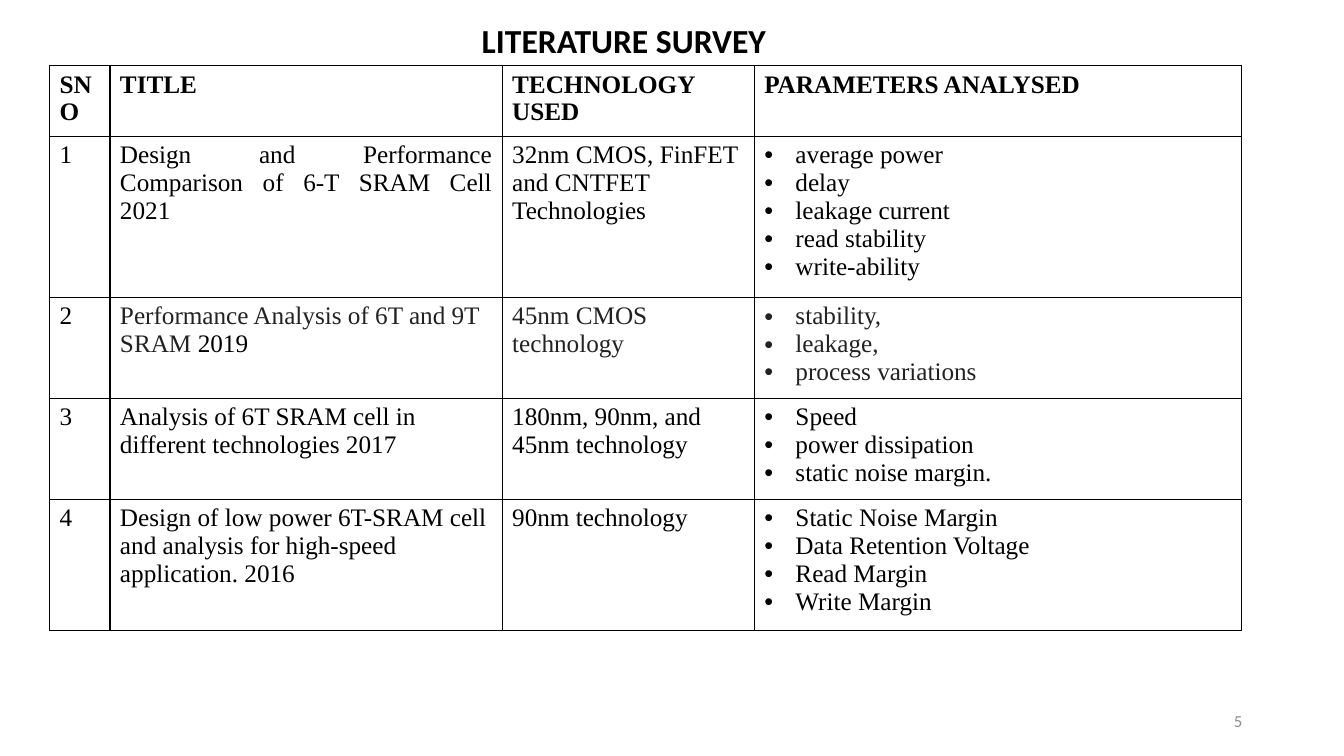
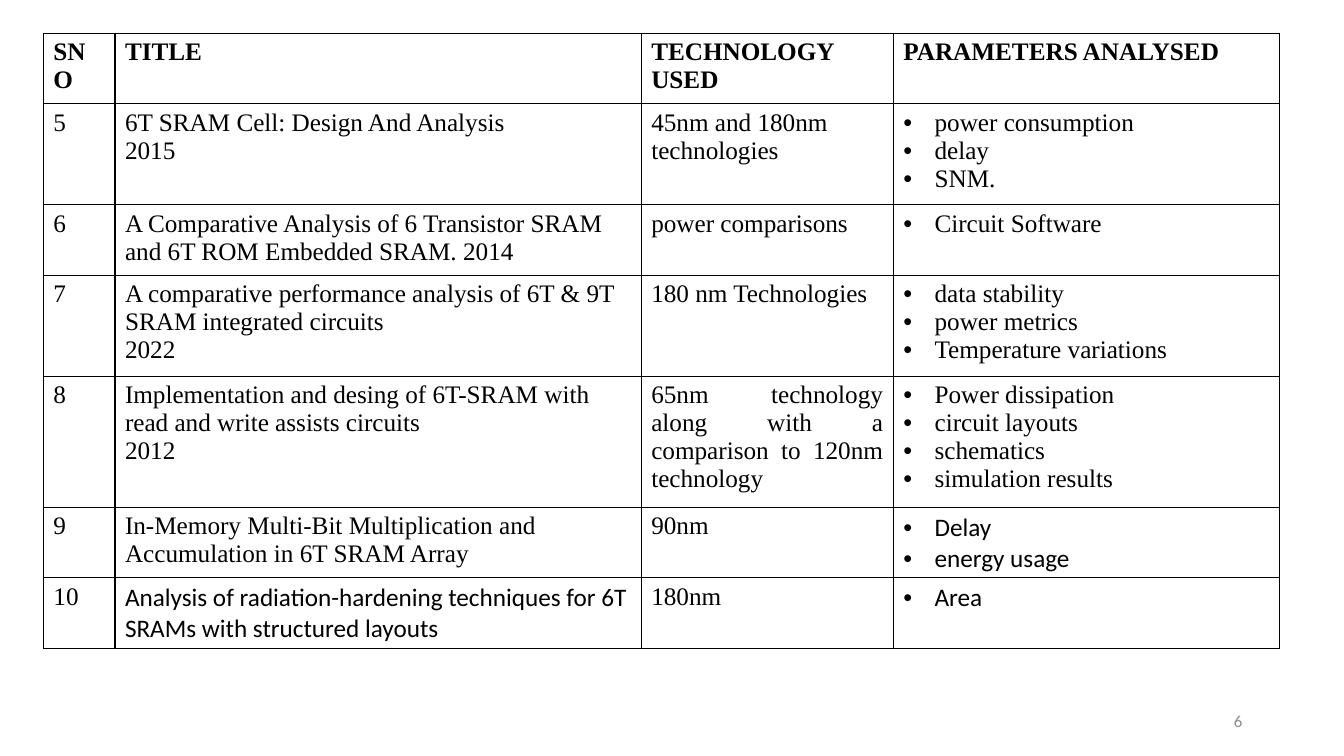
from dataclasses import dataclass

import pptx
import pptx.dml.color
import pptx.enum.text
import pptx.oxml
import pptx.oxml.ns
import pptx.util

SCALE = 9144
COLORS = {"ink": "000000", "soft": "222222", "page": "8C8C8C", "back": "FFFFFF"}
SERIF = "Times New Roman"
SANS = "Calibri"
ALIGN = pptx.enum.text.PP_ALIGN
ANCHOR = pptx.enum.text.MSO_ANCHOR
HEADS = ("SNO", "TITLE", "TECHNOLOGY USED", "PARAMETERS ANALYSED")
INDENT = 31


@dataclass(frozen=True)
class Run:
    text: str
    color: str = "ink"
    font: str = SERIF
    size: int = 18
    bold: bool = False


@dataclass(frozen=True)
class Cell:
    lines: tuple[tuple[Run, ...], ...]
    align: ALIGN = ALIGN.LEFT
    bullet: bool = False


@dataclass(frozen=True)
class Row:
    height: int
    cells: tuple[Cell, ...]


@dataclass(frozen=True)
class Grid:
    left: int
    top: int
    cols: tuple[int, ...]
    rows: tuple[Row, ...]


@dataclass(frozen=True)
class Page:
    number: int
    grid: Grid
    title: str = ""


def px(count: int) -> int:
    return pptx.util.Emu(count * SCALE)


def plain(*lines: str, align: ALIGN = ALIGN.LEFT, **look) -> Cell:
    return Cell(tuple((Run(line, **look),) for line in lines), align)


def items(*lines: str, **look) -> Cell:
    return Cell(plain(*lines, **look).lines, bullet=True)


def entry(number: int, height: int, title: Cell, tech: Cell, points: Cell) -> Row:
    return Row(height, (plain(str(number)), title, tech, points))


def add_run(para, run: Run) -> None:
    part = para.add_run()
    part.text = run.text
    font = part.font
    font.name = run.font
    font.size = pptx.util.Pt(run.size)
    font.bold = run.bold
    font.color.rgb = pptx.dml.color.RGBColor.from_string(COLORS[run.color])


def add_mark(para) -> None:
    props = para._p.get_or_add_pPr()
    props.set("marL", str(px(INDENT)))
    props.set("indent", str(-px(INDENT)))
    space = pptx.oxml.ns.nsdecls("a")
    props.append(pptx.oxml.parse_xml(f'<a:buFont {space} typeface="Arial"/>'))
    props.append(pptx.oxml.parse_xml(f'<a:buChar {space} char="•"/>'))


def fill_text(frame, cell: Cell) -> None:
    frame.word_wrap = True
    for index, line in enumerate(cell.lines):
        para = frame.add_paragraph() if index else frame.paragraphs[0]
        para.alignment = cell.align
        if cell.bullet:
            add_mark(para)
        for run in line:
            add_run(para, run)


def add_edges(cell) -> None:
    props = cell._tc.get_or_add_tcPr()
    space = pptx.oxml.ns.nsdecls("a")
    for index, side in enumerate(("lnL", "lnR", "lnT", "lnB")):
        edge = pptx.oxml.parse_xml(
            f'<a:{side} {space} w="12700"><a:solidFill>'
            f'<a:srgbClr val="{COLORS["ink"]}"/></a:solidFill></a:{side}>'
        )
        props.insert(index, edge)


def add_grid(slide, grid: Grid) -> None:
    head = Row(70, tuple(plain(name, bold=True) for name in HEADS))
    rows = (head, *grid.rows)
    frame = slide.shapes.add_table(
        len(rows), len(grid.cols), px(grid.left), px(grid.top),
        px(sum(grid.cols)), px(sum(row.height for row in rows)),
    )
    table = frame.table
    table.first_row = False
    table.horz_banding = False
    for column, width in zip(table.columns, grid.cols):
        column.width = px(width)
    for line, row in zip(table.rows, rows):
        line.height = px(row.height)
        for cell, data in zip(line.cells, row.cells):
            cell.fill.background()
            add_edges(cell)
            fill_text(cell.text_frame, data)


def add_text(slide, box: tuple[int, int, int, int], cell: Cell, anchor: ANCHOR) -> None:
    frame = slide.shapes.add_textbox(*map(px, box)).text_frame
    frame.vertical_anchor = anchor
    fill_text(frame, cell)


def add_page(deck, page: Page) -> None:
    slide = deck.slides.add_slide(deck.slide_layouts[6])
    back = slide.background.fill
    back.solid()
    back.fore_color.rgb = pptx.dml.color.RGBColor.from_string(COLORS["back"])
    number = plain(str(page.number), align=ALIGN.RIGHT, color="page", font=SANS, size=12)
    add_text(slide, (942, 695, 300, 40), number, ANCHOR.MIDDLE)
    add_grid(slide, page.grid)
    if page.title:
        title = plain(page.title, font=SANS, size=24, bold=True)
        add_text(slide, (468, 15, 667, 50), title, ANCHOR.TOP)


FIRST = Grid(49, 65, (60, 389, 250, 483), (
    entry(
        1, 160,
        plain("Design and Performance Comparison of 6-T SRAM Cell 2021", align=ALIGN.JUSTIFY),
        plain("32nm CMOS, FinFET and CNTFET Technologies"),
        items("average power", "delay", "leakage current", "read stability", "write-ability"),
    ),
    entry(
        2, 100,
        Cell(((Run("Performance Analysis of 6T and 9T SRAM ", "soft"), Run("2019")),)),
        plain("45nm CMOS technology", color="soft"),
        items("stability,", "leakage,", "process variations", color="soft"),
    ),
    entry(
        3, 100,
        plain("Analysis of 6T SRAM cell in different technologies 2017"),
        plain("180nm, 90nm, and 45nm technology"),
        items("Speed", "power dissipation", "static noise margin."),
    ),
    entry(
        4, 130,
        plain("Design of low power 6T-SRAM cell and analysis for high-speed application. 2016"),
        plain("90nm technology"),
        items("Static Noise Margin", "Data Retention Voltage", "Read Margin", "Write Margin"),
    ),
))

SECOND = Grid(43, 33, (71, 522, 250, 383), (
    entry(
        5, 100,
        plain("6T SRAM Cell: Design And Analysis", "2015"),
        plain("45nm and 180nm technologies"),
        items("power consumption", "delay", "SNM."),
    ),
    entry(
        6, 70,
        plain("A Comparative Analysis of 6 Transistor SRAM and 6T ROM Embedded SRAM. 2014"),
        plain("power comparisons"),
        items("Circuit Software"),
    ),
    entry(
        7, 100,
        plain("A comparative performance analysis of 6T & 9T SRAM integrated circuits", "2022"),
        plain("180 nm Technologies"),
        items("data stability", "power metrics", "Temperature variations"),
    ),
    entry(
        8, 130,
        plain("Implementation and desing of 6T-SRAM with read and write assists circuits", "2012"),
        plain("65nm technology along with a comparison to 120nm technology", align=ALIGN.JUSTIFY),
        items("Power dissipation", "circuit layouts", "schematics", "simulation results"),
    ),
    entry(
        9, 70,
        plain("In-Memory Multi-Bit Multiplication and Accumulation in 6T SRAM Array"),
        plain("90nm", align=ALIGN.JUSTIFY),
        items("Delay", "energy usage", font=SANS),
    ),
    entry(
        10, 70,
        plain(
            "Analysis of radiation-hardening techniques for 6T SRAMs with structured layouts",
            font=SANS,
        ),
        plain("180nm", align=ALIGN.JUSTIFY),
        items("Area", font=SANS),
    ),
))

PAGES = (Page(5, FIRST, "LITERATURE SURVEY"), Page(6, SECOND))


def main() -> None:
    deck = pptx.Presentation()
    deck.slide_width = px(1333)
    deck.slide_height = px(750)
    for page in PAGES:
        add_page(deck, page)
    deck.save("out.pptx")


if __name__ == "__main__":
    main()
